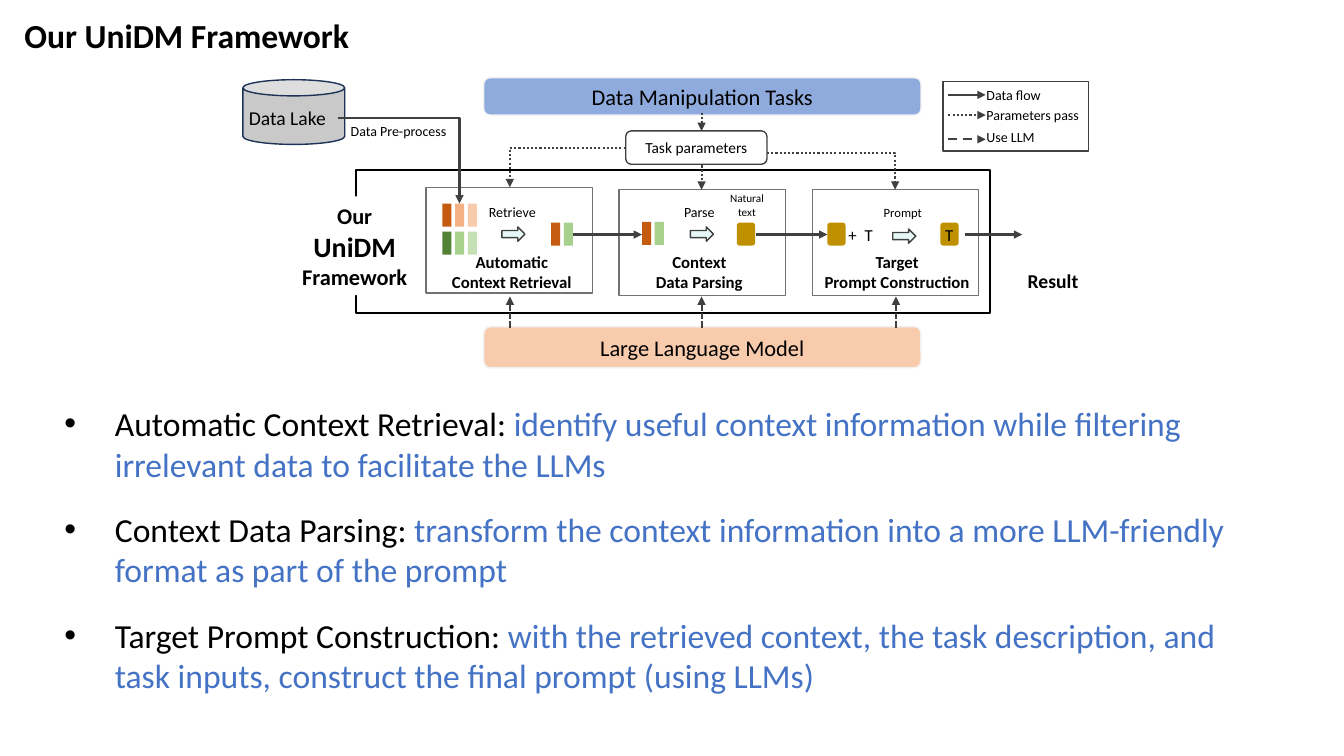
"""Builds the slide that presents the UniDM framework."""
from lxml import etree
from pptx import Presentation
from pptx.dml.color import RGBColor
from pptx.enum.dml import MSO_LINE
from pptx.enum.shapes import MSO_CONNECTOR, MSO_SHAPE
from pptx.enum.text import MSO_ANCHOR, MSO_AUTO_SIZE, PP_ALIGN
from pptx.oxml.ns import qn
from pptx.util import Cm, Pt

RECTANGLE, ROUNDED = MSO_SHAPE.RECTANGLE, MSO_SHAPE.ROUNDED_RECTANGLE
CAN, RIGHT_ARROW = MSO_SHAPE.CAN, MSO_SHAPE.RIGHT_ARROW
STRAIGHT, ELBOW = MSO_CONNECTOR.STRAIGHT, MSO_CONNECTOR.ELBOW
DOTTED, SHORT_DASH, DASH = MSO_LINE.ROUND_DOT, MSO_LINE.SQUARE_DOT, MSO_LINE.DASH
LEFT, CENTER = PP_ALIGN.LEFT, PP_ALIGN.CENTER
TOP, MIDDLE = MSO_ANCHOR.TOP, MSO_ANCHOR.MIDDLE

FONT = "Calibri"
COLORS = {
    "black": "000000", "white": "FFFFFF", "ink": "404040", "stage": "767171",
    "accent": "4472C4", "tasks": "8FAADC", "model": "F8CBAD", "edge": "F2F2F2",
    "lake": "C9C9C9", "lake edge": "1E3256", "mint": "E5F7F6", "token": "BF9000",
    "orange": "C55A11", "light orange": "F4B183", "pale orange": "F8CBAD",
    "green": "548235", "light green": "A9D18E", "pale green": "C5E0B4",
}
POINTS = [
    ("Automatic Context Retrieval: ",
     "identify useful context information while filtering irrelevant data to facilitate the LLMs"),
    ("Context Data Parsing: ",
     "transform the context information into a more LLM-friendly format as part of the prompt"),
    ("Target Prompt Construction: ",
     "with the retrieved context, the task description, and task inputs, "
     "construct the final prompt (using LLMs)"),
]


def color(name):
    """Return the named colour."""
    return RGBColor.from_string(COLORS[name])


def style(font, size, bold=False, color_name="black"):
    """Set the face, size, weight and colour of a font."""
    font.name, font.size, font.bold = FONT, Pt(size), bold
    font.color.rgb = color(color_name)


def place(shape, left, top, width, height):
    """Move and size a shape, in centimetres."""
    shape.left, shape.top, shape.width, shape.height = map(Cm, (left, top, width, height))


def write(shape, lines, sizes, bold=False, align=CENTER, anchor=MIDDLE, wrap=True):
    """Write one paragraph per line, each with its own size."""
    frame = shape.text_frame
    frame.word_wrap, frame.vertical_anchor = wrap, anchor
    frame.text = "\n".join(lines)
    for paragraph, size in zip(frame.paragraphs, sizes):
        paragraph.alignment = align
        style(paragraph.font, size, bold)


def add_label(slide, box, text, size, bold=False, align=LEFT, wrap=False):
    """Add a text box with lines of a single size."""
    label = slide.shapes.add_textbox(*map(Cm, box))
    lines = text.split("\n")
    write(label, lines, [size] * len(lines), bold, align, TOP, wrap)


def add_block(slide, kind, box, fill=None, line=None, width=1):
    """Add a preset shape with an optional fill and outline."""
    block = slide.shapes.add_shape(kind, *map(Cm, box))
    block.shadow.inherit = False
    if fill:
        block.fill.solid()
        block.fill.fore_color.rgb = color(fill)
    else:
        block.fill.background()
    if line:
        block.line.color.rgb = color(line)
        block.line.width = Pt(width)
    else:
        block.line.fill.background()
    return block


def add_chips(slide, left, top, fills):
    """Add a row of evenly spaced data chips."""
    for index, fill in enumerate(fills):
        add_block(slide, RECTANGLE, (left + 0.32 * index, top, 0.23, 0.58), fill)


def add_arrow(slide, start, end, dash=None, kind=STRAIGHT):
    """Add an arrow; an elbow runs across first and then down."""
    arrow = slide.shapes.add_connector(kind, *map(Cm, start + end))
    arrow.line.color.rgb = color("ink")
    arrow.line.width = Pt(1.5)
    if dash:
        arrow.line.dash_style = dash
    properties = arrow._element.spPr
    if kind == ELBOW:
        properties.find(qn("a:prstGeom")).set("prst", "bentConnector2")
    etree.SubElement(properties.find(qn("a:ln")), qn("a:tailEnd"), type="triangle")
    etree.SubElement(properties, qn("a:effectLst"))


def add_points(body):
    """Fill the body placeholder with the bulleted points."""
    place(body, 1.37, 10.03, 29.95, 7.7)
    frame = body.text_frame
    frame.auto_size, frame.vertical_anchor = MSO_AUTO_SIZE.NONE, TOP
    for index, (name, meaning) in enumerate(POINTS):
        paragraph = frame.add_paragraph() if index else frame.paragraphs[0]
        properties = paragraph._p.get_or_add_pPr()
        properties.set("marL", str(Cm(1.27)))
        properties.set("indent", str(-Cm(1.27)))
        paragraph.space_before = Pt(18 if index else 0)
        for text, color_name in ((name, "black"), (meaning, "accent")):
            run = paragraph.add_run()
            run.text = text
            style(run.font, 24, color_name=color_name)


def add_stages(slide):
    """Add the three stages with their names, data and arrows."""
    for left, top in ((10.74, 4.72), (15.6, 4.78), (20.47, 4.78)):
        add_block(slide, RECTANGLE, (left, top, 4.19, 2.67), line="stage")
    for left, width, name in ((11.07, 3.66, "Automatic\nContext Retrieval"),
                              (16.05, 3.15, "Context\nData Parsing"),
                              (20.35, 4.52, "Target\nPrompt Construction")):
        add_label(slide, (left, 6.22, width, 1.27), name, 12, True, CENTER, True)
    add_chips(slide, 11.15, 5.13, ("orange", "light orange", "pale orange"))
    add_chips(slide, 11.15, 5.84, ("green", "light green", "pale green"))
    for left, top in ((13.89, 5.61), (16.18, 5.59)):
        add_chips(slide, left, top, ("orange", "light green"))
    for left in (18.57, 20.85, 23.7):
        add_block(slide, ROUNDED, (left, 5.61, 0.46, 0.58), "token")
    for left, symbol in ((21.13, "+"), (21.54, "T"), (23.57, "T")):
        add_label(slide, (left, 5.54, 0.74, 0.76), symbol, 12)
    for left, top in ((12.65, 5.72), (17.4, 5.72), (22.5, 5.77)):
        add_block(slide, RIGHT_ARROW, (left, top, 0.58, 0.36), "mint", "ink")
    add_label(slide, (12.07, 5, 1.75, 0.69), "Retrieve", 10)
    add_label(slide, (16.99, 5, 1.35, 0.69), "Parse", 10)
    add_label(slide, (22.02, 5.05, 1.55, 0.64), "Prompt", 9)
    add_label(slide, (17.91, 4.7, 1.83, 0.94), "Natural\ntext", 8, align=CENTER, wrap=True)


def add_flows(slide):
    """Add the arrows between the parts of the framework."""
    add_arrow(slide, (8.51, 2.97), (11.58, 5.13), kind=ELBOW)
    add_arrow(slide, (15.77, 3.73), (12.85, 4.72), DOTTED, ELBOW)
    add_arrow(slide, (19.33, 3.86), (22.56, 4.78), DOTTED, ELBOW)
    for top, bottom in ((2.84, 3.3), (4.17, 4.78)):
        add_arrow(slide, (17.68, top), (17.68, bottom), DOTTED)
    for start, end in ((14.43, 16.18), (19.05, 20.85), (24.31, 25.76)):
        add_arrow(slide, (start, 5.91), (end, 5.91))
    for x in (12.85, 17.68, 22.58):
        add_arrow(slide, (x, 8.26), (x, 7.47), SHORT_DASH)


def add_legend(slide):
    """Add the boxed key to the arrow styles."""
    add_block(slide, RECTANGLE, (23.77, 2.06, 3.66, 1.75), line="ink")
    for y, top, dash, name in ((2.39, 2.06, None, "Data flow"),
                               (2.9, 2.57, DOTTED, "Parameters pass"),
                               (3.51, 3.12, DASH, "Use LLM")):
        add_arrow(slide, (23.9, y), (24.84, y), dash)
        add_label(slide, (24.61, top, 3, 0.69), name, 10)


def main():
    """Build and save the slide."""
    presentation = Presentation()
    presentation.slide_width, presentation.slide_height = Cm(33.87), Cm(19.05)
    slide = presentation.slides.add_slide(presentation.slide_layouts[1])
    title, body = slide.placeholders
    place(title, 0.36, 0.25, 8.76, 1.27)
    write(title, ["Our UniDM Framework"], [24], True, LEFT, TOP, False)
    add_points(body)

    tasks = add_block(slide, ROUNDED, (12.19, 1.96, 11.02, 0.94), "tasks", "edge")
    write(tasks, ["Data Manipulation Tasks"], [16])
    model = add_block(slide, ROUNDED, (12.19, 8.23, 11.02, 1.04), "model", "edge")
    write(model, ["Large Language Model"], [16])
    parameters = add_block(slide, ROUNDED, (15.77, 3.3, 3.56, 0.84), line="ink")
    write(parameters, ["Task parameters"], [11])
    add_block(slide, CAN, (6.12, 2.01, 2.57, 1.63), "lake", "lake edge")
    add_label(slide, (6.02, 2.54, 2.49, 0.86), "Data Lake", 14)
    add_label(slide, (8.59, 2.97, 2.97, 0.69), "Data Pre-process", 10)
    add_label(slide, (25.65, 6.65, 2.21, 0.86), "Result", 14, True, wrap=True)
    add_block(slide, RECTANGLE, (8.97, 4.29, 15.98, 3.61), line="black", width=1.5)
    framework = add_block(slide, RECTANGLE, (7.34, 4.95, 3.2, 2.49), "white")
    write(framework, ["Our", "UniDM", "Framework"], [16, 20, 16], True, wrap=False)
    add_stages(slide)
    add_flows(slide)
    add_legend(slide)
    presentation.save("out.pptx")


if __name__ == "__main__":
    main()
